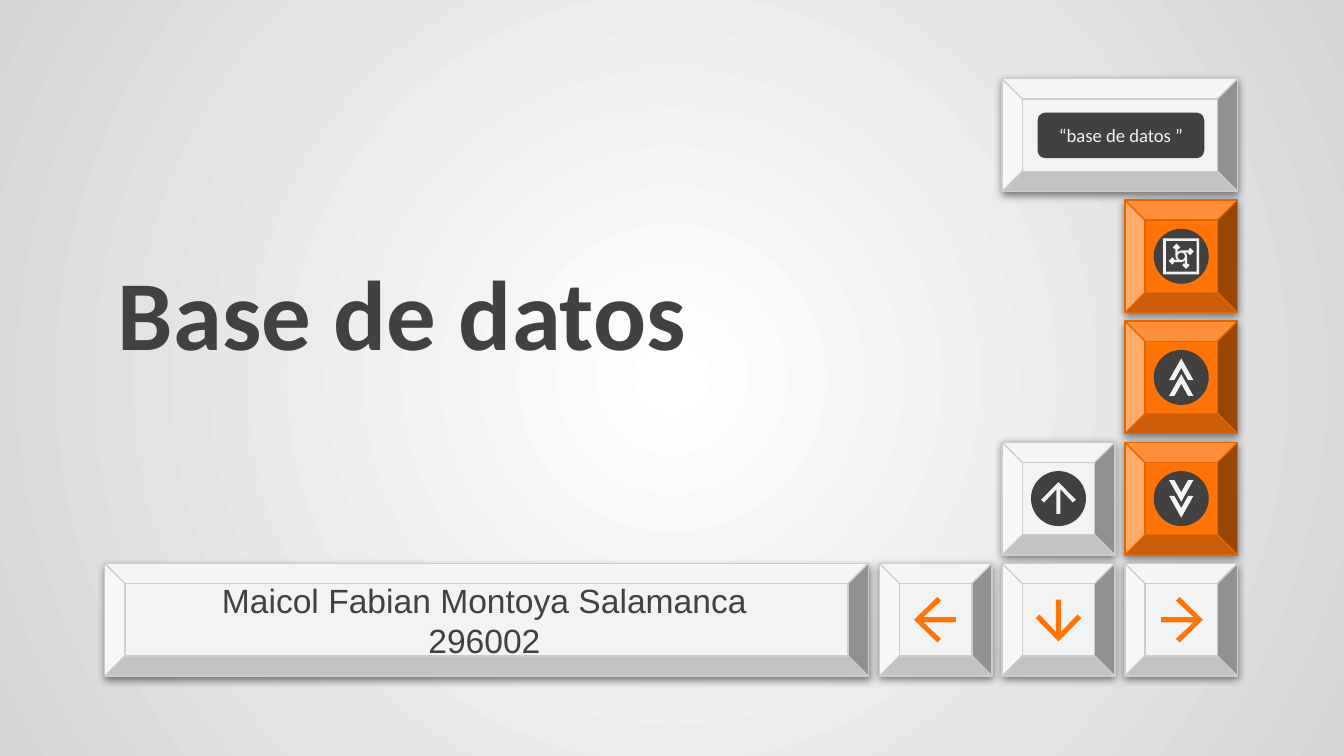
from dataclasses import dataclass
from math import cos, radians, sin

from lxml.etree import SubElement
from pptx import Presentation
from pptx.dml.color import RGBColor
from pptx.enum.shapes import MSO_SHAPE as Preset
from pptx.enum.text import MSO_ANCHOR as Anchor, MSO_AUTO_SIZE as AutoSize, PP_ALIGN as Align
from pptx.oxml.ns import qn
from pptx.util import Cm, Pt


@dataclass(frozen=True)
class Theme:
    dark: str = "42413F"
    light: str = "F3F3F3"
    light_edge: str = "CCCCCC"
    orange: str = "FF7307"
    orange_edge: str = "E46503"
    glow: str = "FFFFFF"
    rim: str = "D6D6D6"
    heading_font: str = "Calibri"
    body_font: str = "Arial"
    title_size: int = 53
    author_size: int = 18
    label_size: int = 10


KEY = 2.13
COLUMN_STEP, ROW_STEP = 2.32, 2.29
GRID_LEFT, GRID_TOP = 16.62, 1.49
DISC = 1.04
RIGHT, DOWN, LEFT, UP = 0, 90, 180, 270

ARROW = [(-0.03, -0.43), (-0.1, -0.36), (0.23, -0.05), (-0.38, -0.05), (-0.38, 0.05),
         (0.23, 0.05), (-0.1, 0.36), (-0.03, 0.43), (0.41, 0)]
CHEVRON = [(-0.05, -0.13), (-0.05, -0.23), (0.36, 0), (-0.05, 0.23), (-0.05, 0.13), (0.18, 0)]
CYCLE_ARM = [(-0.07, -0.07), (-0.07, -0.15), (-0.05, -0.13), (-0.02, -0.17), (-0.09, -0.24),
             (-0.16, -0.17), (-0.13, -0.14), (-0.11, -0.15), (-0.11, 0), (-0.1, 0.04)]


def turn(points, angle, scale=1):
    c, s = scale * cos(radians(angle)), scale * sin(radians(angle))
    return [(x * c - y * s, x * s + y * c) for x, y in points]


def square(half):
    return [(-half, -half), (half, -half), (half, half), (-half, half)]


def key_left(column):
    return GRID_LEFT + column * COLUMN_STEP


def key_top(row):
    return GRID_TOP + row * ROW_STEP


def key_centre(column, row):
    return key_left(column) + KEY / 2, key_top(row) + KEY / 2


def apply_format(target, values):
    for name, value in values.items():
        setattr(target, name, value)


class SlideBuilder:
    def __init__(self, slide, theme):
        self.slide = slide
        self.theme = theme

    def background(self):
        fill = self.slide.background.fill
        fill.gradient()
        for stop, color in zip(fill.gradient_stops, (self.theme.glow, self.theme.rim)):
            stop.color.rgb = RGBColor.from_string(color)
        gradient = self.slide.element.find(".//" + qn("a:gradFill"))
        gradient.remove(gradient.find(qn("a:lin")))
        circle = SubElement(gradient, qn("a:path"), {"path": "circle"})
        SubElement(circle, qn("a:fillToRect"), l="50000", t="50000", r="50000", b="50000")

    def paint(self, shape, color, edge=None):
        shape.shadow.inherit = False
        shape.fill.solid()
        shape.fill.fore_color.rgb = RGBColor.from_string(color)
        if edge:
            shape.line.color.rgb = RGBColor.from_string(edge)
            shape.line.width = Pt(0.75)
        else:
            shape.line.fill.background()

    def preset(self, kind, left, top, width, height, color, edge=None, adjustment=None):
        shape = self.slide.shapes.add_shape(kind, Cm(left), Cm(top), Cm(width), Cm(height))
        self.paint(shape, color, edge)
        if adjustment:
            shape.adjustments[0] = adjustment
        return shape

    def key(self, left, row, width=KEY, orange=False):
        theme = self.theme
        color, edge = (theme.orange, theme.orange_edge) if orange else (theme.light, theme.light_edge)
        shape = self.preset(Preset.BEVEL, left, key_top(row), width, KEY, color, edge, 0.179)
        effects = shape.element.spPr.find(qn("a:effectLst"))
        shadow = SubElement(effects, qn("a:outerShdw"), blurRad=str(Pt(4.5)), dist=str(Pt(1.5)),
                            dir="5400000", algn="bl", rotWithShape="0")
        black = SubElement(shadow, qn("a:srgbClr"), val="000000")
        SubElement(black, qn("a:alpha"), val="50000")

    def disc(self, centre):
        x, y = centre
        self.preset(Preset.OVAL, x - DISC / 2, y - DISC / 2, DISC, DISC, self.theme.dark)

    def outline(self, centre, contours, color):
        x, y = centre
        contours = [[(Cm(x + dx), Cm(y + dy)) for dx, dy in contour] for contour in contours]
        builder = self.slide.shapes.build_freeform(*contours[0][0])
        for number, contour in enumerate(contours):
            if number:
                builder.move_to(*contour[0])
            builder.add_line_segments(contour[1:], close=True)
        self.paint(builder.convert_to_shape(), color)

    def set_text(self, shape, text, size, font, color, align, bold=False):
        frame = shape.text_frame
        margins = {f"margin_{side}": Cm(0.25) for side in ("left", "top", "right", "bottom")}
        apply_format(frame, {"word_wrap": True, "auto_size": AutoSize.NONE,
                             "vertical_anchor": Anchor.MIDDLE, **margins})
        paragraph = frame.paragraphs[0]
        paragraph.text = text
        paragraph.alignment = align
        for run in paragraph.runs:
            apply_format(run.font, {"name": font, "size": Pt(size), "bold": bold})
            run.font.color.rgb = RGBColor.from_string(color)

    def title(self, text, left, top, width, height):
        shape = self.slide.shapes.title
        apply_format(shape, {"left": Cm(left), "top": Cm(top), "width": Cm(width), "height": Cm(height)})
        theme = self.theme
        self.set_text(shape, text, theme.title_size, theme.heading_font, theme.dark, Align.LEFT, True)

    def author(self, text, left, top, width, height):
        shape = self.slide.shapes.add_textbox(Cm(left), Cm(top), Cm(width), Cm(height))
        theme = self.theme
        self.set_text(shape, text, theme.author_size, theme.body_font, theme.dark, Align.CENTER)

    def label(self, text, left, top, width, height):
        theme = self.theme
        shape = self.preset(Preset.ROUNDED_RECTANGLE, left, top, width, height, theme.dark, adjustment=0.167)
        self.set_text(shape, text, theme.label_size, theme.heading_font, theme.light, Align.CENTER)

    def arrow(self, centre, direction, color, scale=1):
        self.outline(centre, [turn(ARROW, direction, scale)], color)

    def double_chevron(self, centre, direction):
        for shift in (0, -0.3):
            points = [(x + shift, y) for x, y in CHEVRON]
            self.outline(centre, [turn(points, direction)], self.theme.light)

    def cycle(self, centre):
        frame = [square(0.34), square(0.29)[::-1]]
        arms = [point for angle in (0, -90, -180, -270) for point in turn(CYCLE_ARM, angle)]
        hole = [turn([(0.07, 0)], angle)[0] for angle in range(0, 360, 15)]
        self.outline(centre, frame, self.theme.light)
        self.outline(centre, [arms, hole], self.theme.light)


def main():
    presentation = Presentation()
    presentation.slide_width, presentation.slide_height = Cm(25.4), Cm(14.29)
    theme = Theme()
    builder = SlideBuilder(presentation.slides.add_slide(presentation.slide_layouts[5]), theme)

    builder.background()
    builder.title("Base de datos", 1.98, 1.5, 16.87, 8.76)
    builder.key(1.98, 4, 14.43)
    builder.author("Maicol Fabian Montoya Salamanca\v296002", 2.41, 11.02, 13.49, 1.4)

    builder.key(key_left(1), 0, KEY + COLUMN_STEP)
    builder.label("“base de datos ”", 19.61, 2.13, 3.15, 0.86)

    for row in (1, 2, 3):
        builder.key(key_left(2), row, orange=True)
        builder.disc(key_centre(2, row))
    builder.cycle(key_centre(2, 1))
    builder.double_chevron(key_centre(2, 2), UP)
    builder.double_chevron(key_centre(2, 3), DOWN)

    builder.key(key_left(1), 3)
    builder.disc(key_centre(1, 3))
    builder.arrow(key_centre(1, 3), UP, theme.light, 0.76)

    for column, direction in enumerate((LEFT, DOWN, RIGHT)):
        builder.key(key_left(column), 4)
        builder.arrow(key_centre(column, 4), direction, theme.orange)

    presentation.save("out.pptx")


if __name__ == "__main__":
    main()
